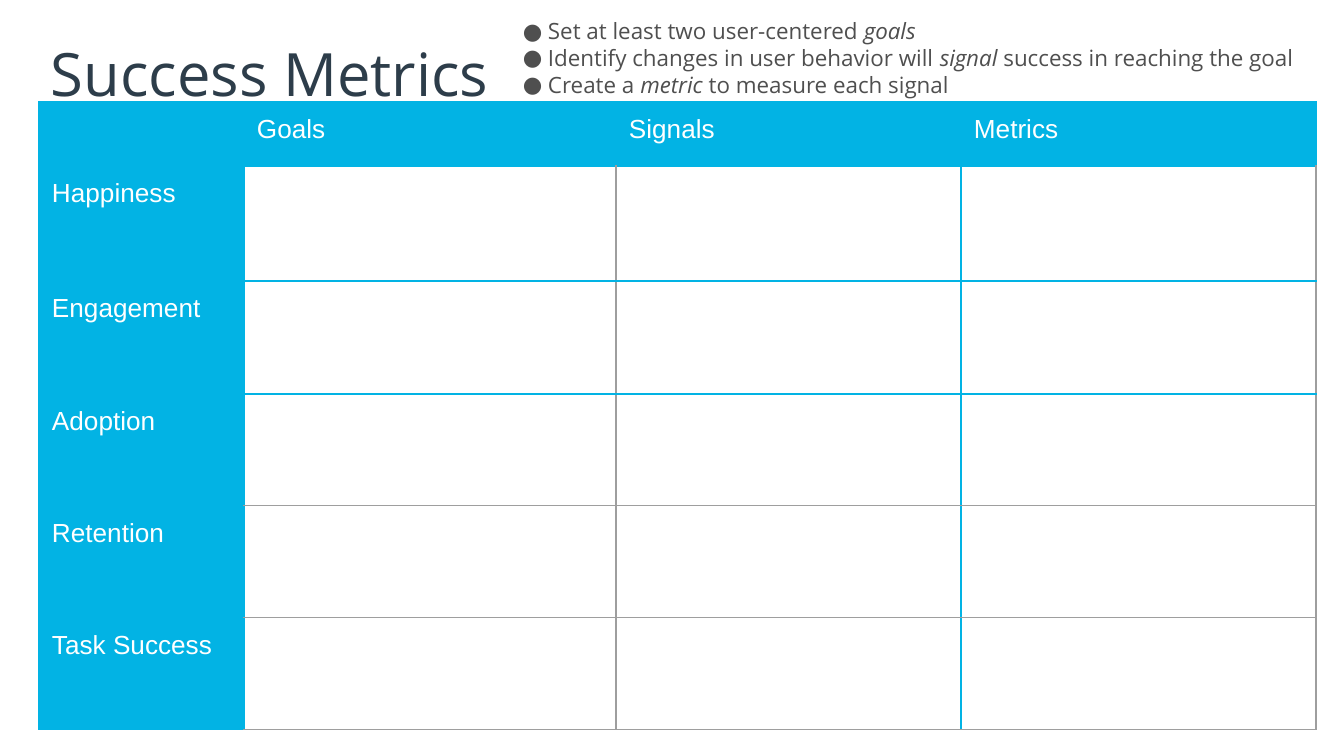
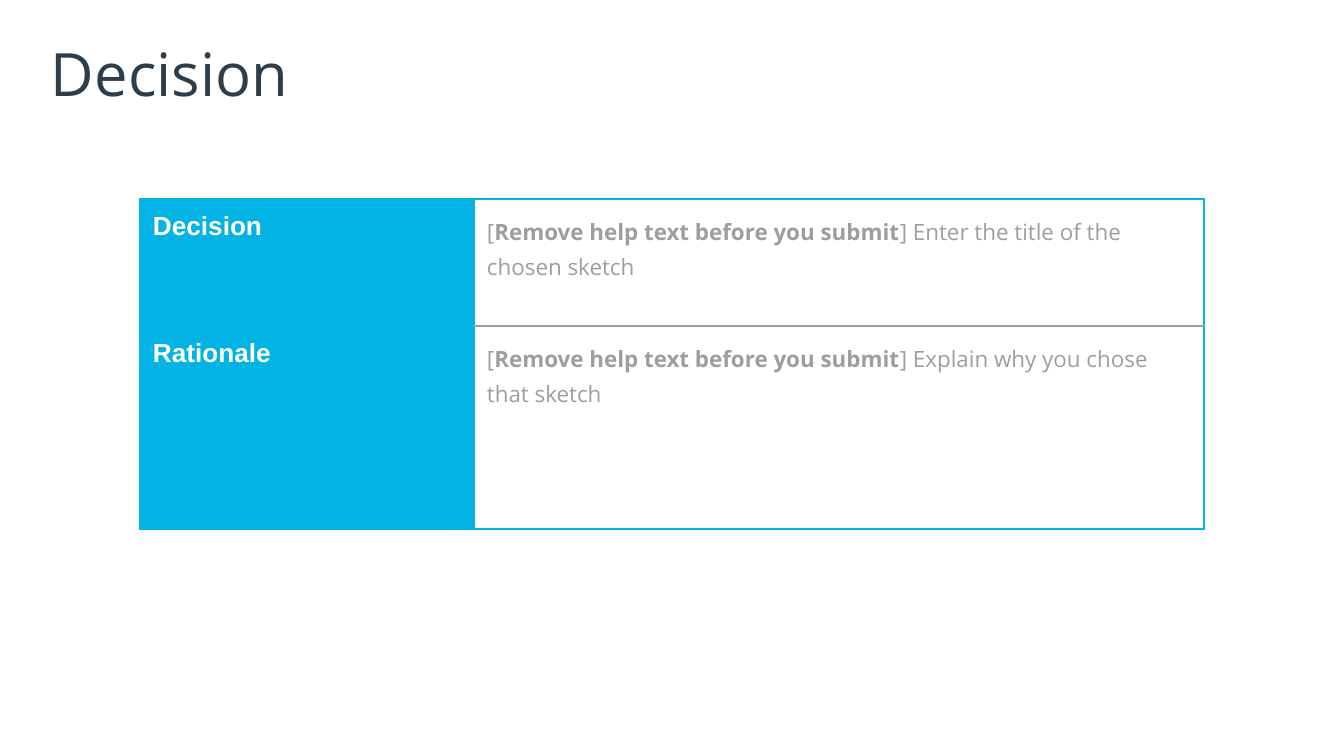
import dataclasses
import typing

import lxml.etree
import pptx
import pptx.dml.color
import pptx.enum.text
import pptx.oxml.ns
import pptx.util

EMU_PER_PX = 914400 / 134.4


@dataclasses.dataclass(frozen=True)
class Theme:
    accent: str = "02B3E4"
    white: str = "FFFFFF"
    title: str = "2D3D4A"
    body: str = "4F4F4F"
    muted: str = "9E9E9E"
    heading_font: str = "Open Sans"
    label_font: str = "Arial"
    title_size: int = 32
    label_size: int = 14
    body_size: int = 12
    border_width: float = 0.75


THEME = Theme()


class Run(typing.NamedTuple):
    text: str
    bold: bool = False
    italic: bool = False


Line = tuple[Run, ...]


class Box(typing.NamedTuple):
    left: int
    top: int
    width: int
    height: int


@dataclasses.dataclass(frozen=True)
class Grid:
    left: int
    top: int
    columns: tuple[int, ...]
    rows: tuple[int, ...]
    cells: tuple[tuple[Line, ...], ...]
    header_rows: int
    muted_row_edges: frozenset[int]
    muted_column_edges: frozenset[int]


def px(length: int) -> pptx.util.Emu:
    return pptx.util.Emu(round(length * EMU_PER_PX))


def rgb(color: str) -> pptx.dml.color.RGBColor:
    return pptx.dml.color.RGBColor.from_string(color)


def add_element(parent, tag: str, **attributes: str):
    element = lxml.etree.SubElement(parent, pptx.oxml.ns.qn(tag))
    for name, value in attributes.items():
        element.set(name, value)
    return element


def add_bullet(paragraph, color: str, font: str, indent: int) -> None:
    properties = paragraph._p.get_or_add_pPr()
    properties.set("marL", str(px(indent)))
    properties.set("indent", str(-px(indent)))
    bullet_color = add_element(properties, "a:buClr")
    add_element(bullet_color, "a:srgbClr", val=color)
    add_element(properties, "a:buFont", typeface=font)
    add_element(properties, "a:buChar", char="●")


def write_text(frame, lines: typing.Sequence[Line], *, font: str, size: int, color: str,
               spacing: float = 1.0, bullet_indent: int = 0) -> None:
    frame.word_wrap = True
    for index, line in enumerate(lines):
        paragraph = frame.add_paragraph() if index else frame.paragraphs[0]
        paragraph.line_spacing = spacing
        if bullet_indent:
            add_bullet(paragraph, color, font, bullet_indent)
        for part in line:
            run = paragraph.add_run()
            run.text = part.text
            run.font.name = font
            run.font.size = pptx.util.Pt(size)
            run.font.bold = part.bold
            run.font.italic = part.italic
            run.font.color.rgb = rgb(color)


def add_text_box(slide, box: Box, margin: int):
    frame = slide.shapes.add_textbox(*map(px, box)).text_frame
    frame.margin_left = frame.margin_right = px(margin)
    frame.margin_top = frame.margin_bottom = px(margin)
    return frame


def add_title(slide, text: str, width: int) -> None:
    frame = add_text_box(slide, Box(46, 30, width, 85), 5)
    frame.vertical_anchor = pptx.enum.text.MSO_ANCHOR.MIDDLE
    write_text(frame, [(Run(text),)], font=THEME.heading_font,
               size=THEME.title_size, color=THEME.title)


def set_borders(cell, colors: dict[str, str]) -> None:
    properties = cell._tc.get_or_add_tcPr()
    for position, (side, color) in enumerate(colors.items()):
        border = lxml.etree.Element(pptx.oxml.ns.qn(f"a:{side}"))
        border.set("w", str(pptx.util.Pt(THEME.border_width)))
        fill = add_element(border, "a:solidFill")
        add_element(fill, "a:srgbClr", val=color)
        add_element(border, "a:prstDash", val="solid")
        properties.insert(position, border)


def format_cell(cell, grid: Grid, row: int, column: int) -> None:
    is_label = row < grid.header_rows or column == 0
    cell.margin_left = cell.margin_right = px(13)
    cell.margin_top = cell.margin_bottom = px(13)
    if is_label:
        cell.fill.solid()
        cell.fill.fore_color.rgb = rgb(THEME.accent)
    else:
        cell.fill.background()

    def edge_color(edge: int, muted_edges: frozenset[int], beside_label: bool) -> str:
        muted = edge in muted_edges and not is_label and not beside_label
        return THEME.muted if muted else THEME.accent

    set_borders(cell, {
        "lnL": edge_color(column, grid.muted_column_edges, column == 1),
        "lnR": edge_color(column + 1, grid.muted_column_edges, False),
        "lnT": edge_color(row, grid.muted_row_edges, row == grid.header_rows),
        "lnB": edge_color(row + 1, grid.muted_row_edges, False),
    })
    line = grid.cells[row][column] if column < len(grid.cells[row]) else ()
    if not line:
        paragraph = cell.text_frame.paragraphs[0]
        add_element(paragraph._p, "a:endParaRPr", sz=str(THEME.label_size * 100))
    elif is_label:
        write_text(cell.text_frame, [line], font=THEME.label_font,
                   size=THEME.label_size, color=THEME.white)
    else:
        write_text(cell.text_frame, [line], font=THEME.heading_font,
                   size=THEME.body_size, color=THEME.muted, spacing=1.15)


def add_grid(slide, grid: Grid) -> None:
    box = Box(grid.left, grid.top, sum(grid.columns), sum(grid.rows))
    table = slide.shapes.add_table(len(grid.rows), len(grid.columns), *map(px, box)).table
    table.first_row = table.horz_banding = False
    for column, width in enumerate(grid.columns):
        table.columns[column].width = px(width)
    for row, height in enumerate(grid.rows):
        table.rows[row].height = px(height)
        for column in range(len(grid.columns)):
            format_cell(table.cell(row, column), grid, row, column)


def help_text(instruction: str) -> Line:
    return (Run("["), Run("Remove help text before you submit", bold=True),
            Run(f"] {instruction}"))


METRIC_HEADERS = ("Goals", "Signals", "Metrics")
METRIC_LABELS = ("Happiness", "Engagement", "Adoption", "Retention", "Task Success")
METRICS_GRID = Grid(
    left=39, top=102, columns=(205, 372, 345, 355), rows=(64, 115, 113, 112, 112, 112),
    cells=(((), *((Run(header),) for header in METRIC_HEADERS)),
           *(((Run(label),),) for label in METRIC_LABELS)),
    header_rows=1,
    muted_row_edges=frozenset({4, 5, 6}),
    muted_column_edges=frozenset({2, 4}),
)
DECISION_GRID = Grid(
    left=140, top=199, columns=(334, 730), rows=(127, 203),
    cells=(((Run("Decision", bold=True),),
            help_text("Enter the title of the chosen sketch")),
           ((Run("Rationale", bold=True),),
            help_text("Explain why you chose that sketch"))),
    header_rows=0,
    muted_row_edges=frozenset({1}),
    muted_column_edges=frozenset(),
)
INSTRUCTIONS: tuple[Line, ...] = (
    (Run("Set at least two user-centered "), Run("goals", italic=True)),
    (Run("Identify changes in user behavior will "), Run("signal", italic=True),
     Run(" success in reaching the goal")),
    (Run("Create a "), Run("metric", italic=True), Run(" to measure each signal")),
)


def add_slide(presentation):
    slide = presentation.slides.add_slide(presentation.slide_layouts[6])
    slide.background.fill.solid()
    slide.background.fill.fore_color.rgb = rgb(THEME.white)
    return slide


def build_metrics(presentation) -> None:
    slide = add_slide(presentation)
    add_title(slide, "Success Metrics", 450)
    add_grid(slide, METRICS_GRID)
    write_text(add_text_box(slide, Box(510, 4, 829, 98), 13), INSTRUCTIONS,
               font=THEME.heading_font, size=THEME.body_size, color=THEME.body,
               bullet_indent=25)


def build_decision(presentation) -> None:
    slide = add_slide(presentation)
    add_title(slide, "Decision", 1253)
    add_grid(slide, DECISION_GRID)


def main() -> None:
    presentation = pptx.Presentation()
    presentation.slide_width = px(1344)
    presentation.slide_height = px(756)
    build_metrics(presentation)
    build_decision(presentation)
    presentation.save("out.pptx")


if __name__ == "__main__":
    main()
